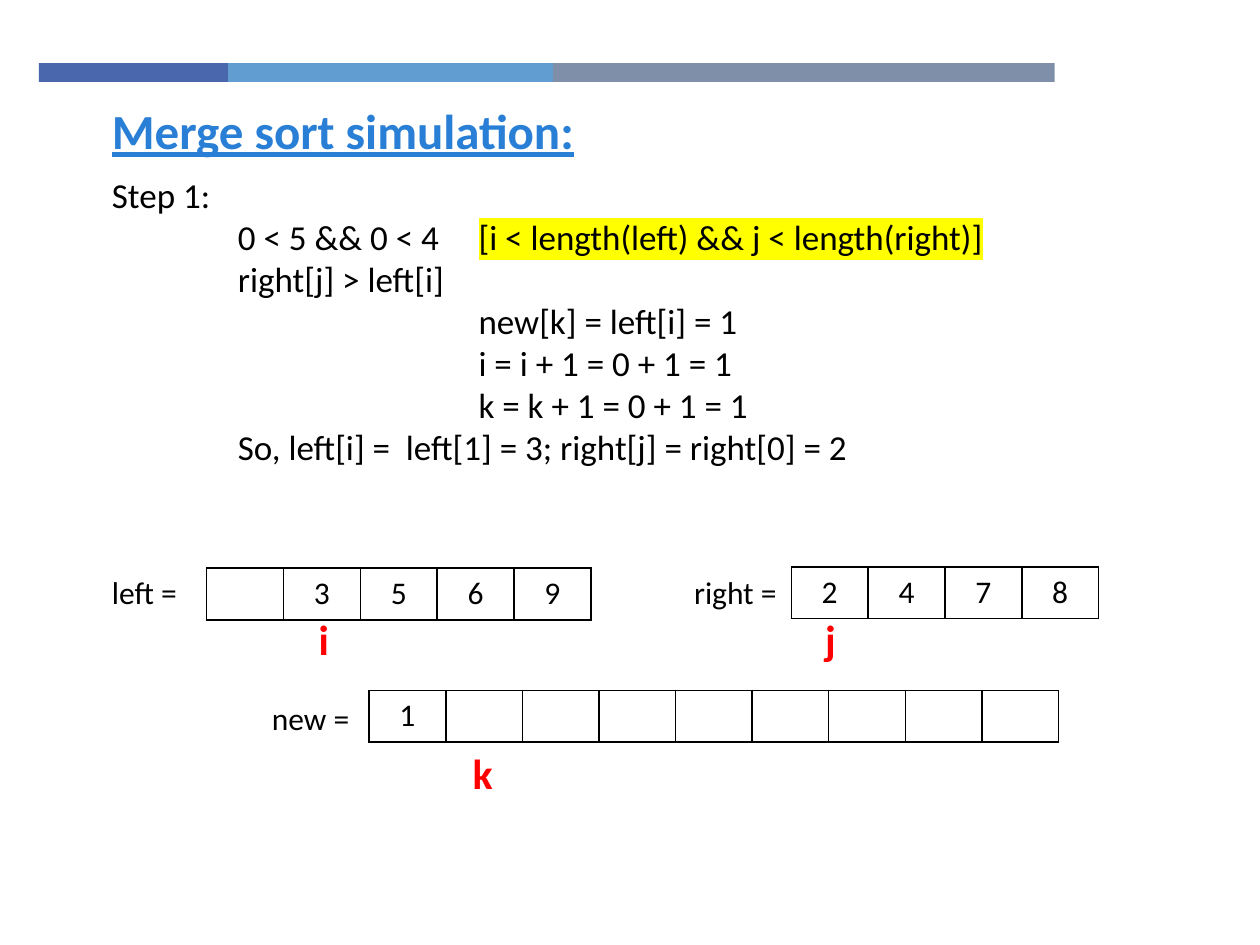
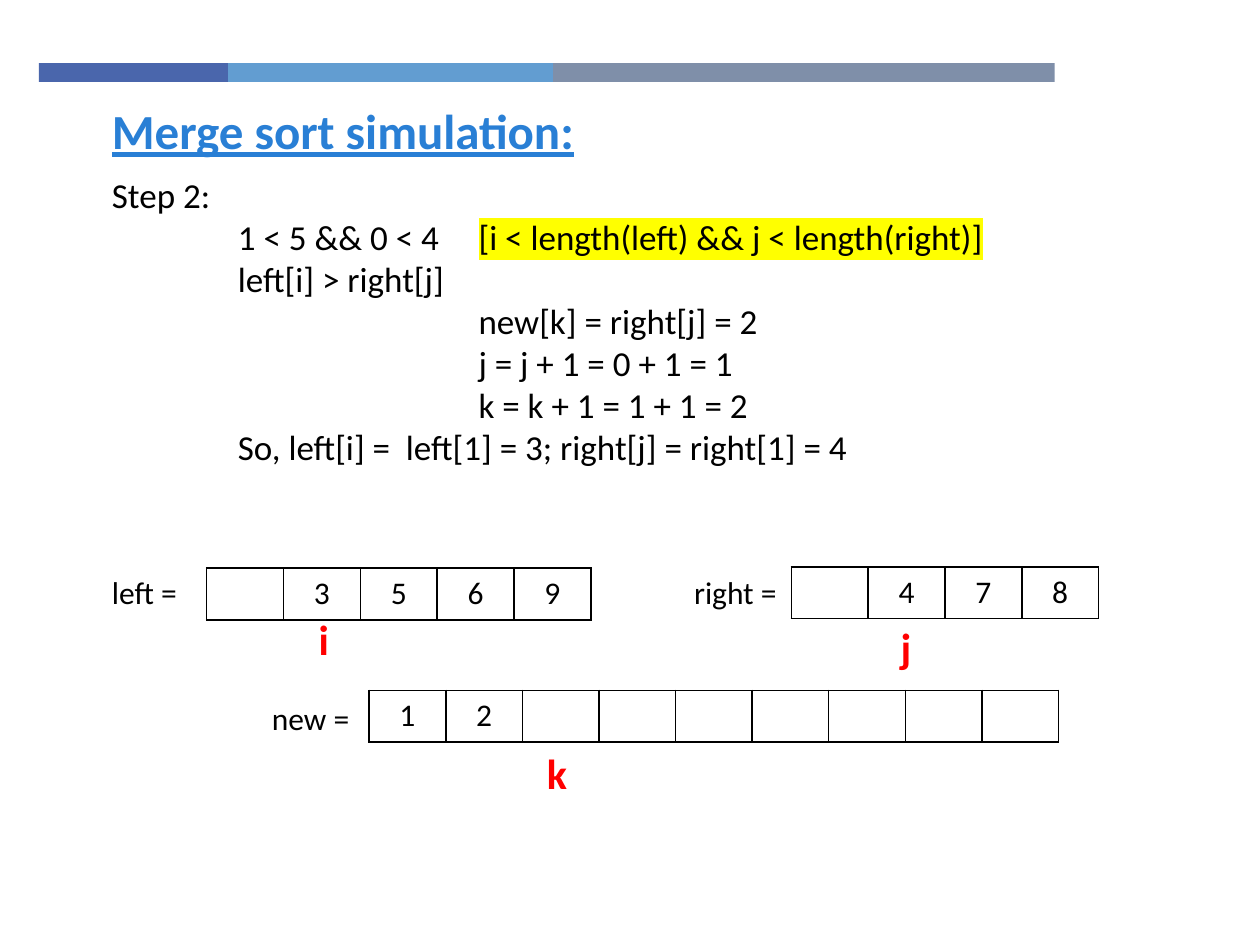
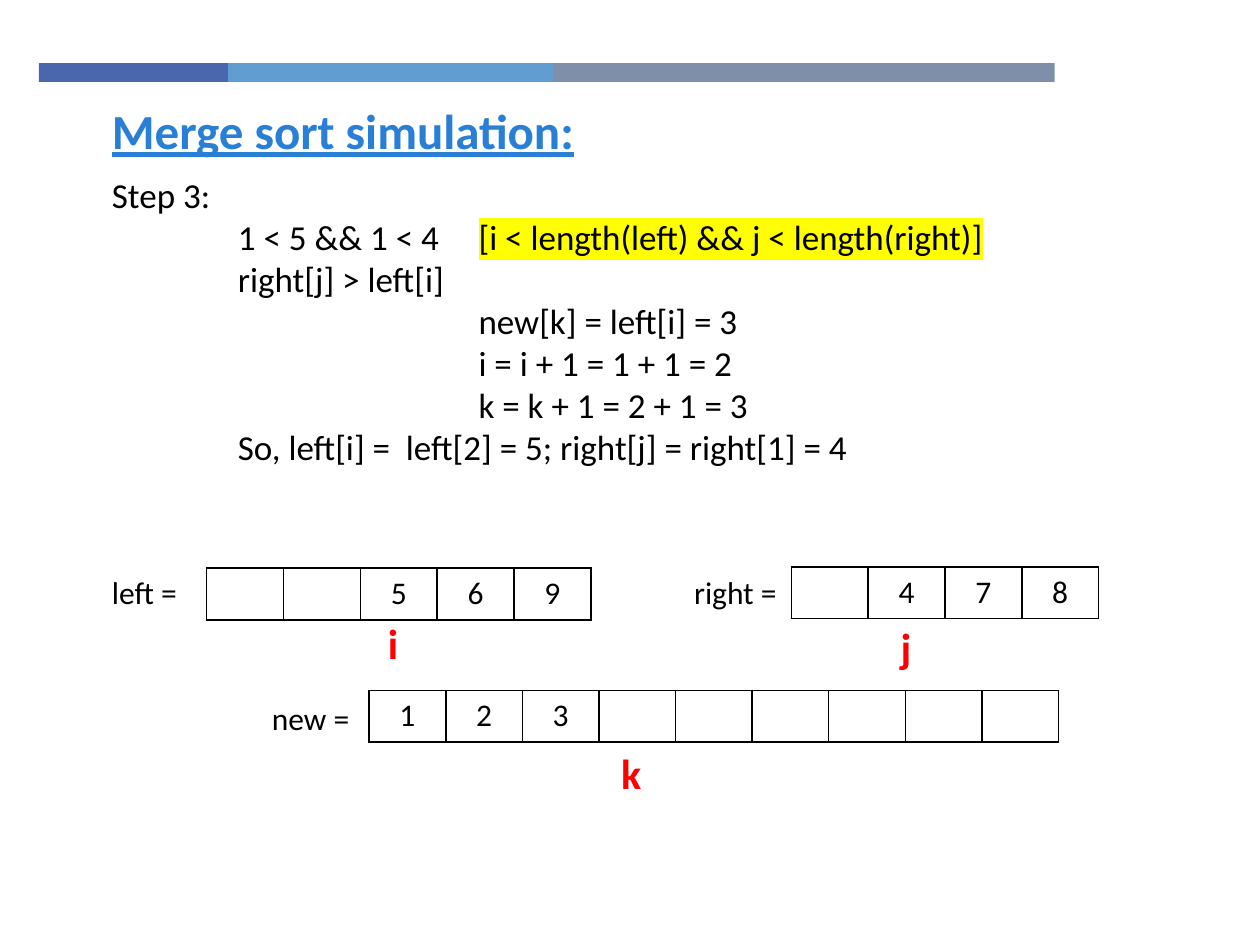
from dataclasses import dataclass

from lxml import etree
from pptx import Presentation
from pptx.dml.color import RGBColor
from pptx.enum.shapes import MSO_SHAPE
from pptx.enum.text import PP_ALIGN
from pptx.oxml.ns import qn
from pptx.util import Inches, Pt

RECT = MSO_SHAPE.RECTANGLE
LEFT, CENTER = PP_ALIGN.LEFT, PP_ALIGN.CENTER


@dataclass(frozen=True)
class Theme:
    font: str = "Calibri"
    title: str = "297FD5"
    ink: str = "000000"
    mark: str = "FF0000"
    glow: str = "FFFF00"
    paper: str = "FFFFFF"
    bands: tuple = (("4A66AC", 15), ("629DD1", 25.8), ("7F8FA9", 39.8))
    title_size: int = 28
    mark_size: int = 24
    body_size: int = 20
    cell_size: int = 18


@dataclass(frozen=True)
class Row:
    """An array on the grid, with the first place and the step of its marker."""
    name: str
    label_x: float
    x: float
    y: float
    cell: float
    mark: str
    mark_x: float
    mark_y: float
    step_x: float
    step_y: float


THEME = Theme()
MARGIN = 7.9
CELL_H = 4.1
ROWS = (
    Row("left", MARGIN, 16.4, 45.1, 6.1, "i", 18.3, 47.9, 5.5, 0.3),
    Row("right", 54.1, 62.8, 45, 6.1, "j", 64, 48.2, 6, 0.6),
    Row("new", 20.6, 29.3, 54.8, 6.08, "k", 30.5, 58.8, 5.9, 0),
)
LEFTS = (1, 3, 5, 6, 9)
RIGHTS = (2, 4, 7, 8)
STEPS = 3


def grid(*units):
    """Turn units of a 100 by 75 grid into lengths."""
    return [Inches(unit / 10) for unit in units]


def add_run(para, text, size, color=THEME.ink, bold=False, line=False, glow=None):
    run = para.add_run()
    run.text = text
    font = run.font
    font.size = Pt(size)
    font.bold = bold
    font.underline = line
    font.color.rgb = RGBColor.from_string(color)
    font.name = THEME.font
    if glow:
        high = etree.Element(qn("a:highlight"))
        etree.SubElement(high, qn("a:srgbClr"), val=glow)
        run._r.rPr.find(qn("a:solidFill")).addnext(high)


def add_box(slide, x, y, w, h):
    frame = slide.shapes.add_textbox(*grid(x, y, w, h)).text_frame
    frame.word_wrap = True
    return frame


def add_line(slide, text, place, size, align=LEFT, **style):
    para = add_box(slide, *place).paragraphs[0]
    para.alignment = align
    add_run(para, text, size, **style)


def add_bands(slide):
    x = 3.1
    for color, width in THEME.bands:
        band = slide.shapes.add_shape(RECT, *grid(x, 5, width, 1.5))
        band.shadow.inherit = False
        band.fill.solid()
        band.fill.fore_color.rgb = RGBColor.from_string(color)
        band.line.fill.background()
        x += width


def set_tabs(para, *stops):
    tabs = etree.SubElement(para._p.get_or_add_pPr(), qn("a:tabLst"))
    for stop in stops:
        etree.SubElement(tabs, qn("a:tab"), pos=str(Inches(stop)), algn="l")


def add_steps(slide, head, test, lines):
    """Write the step's name, its loop test and the lines of its work."""
    frame = add_box(slide, MARGIN, 13.3, 81.6, 27.6)
    size = THEME.body_size
    add_run(frame.paragraphs[0], head, size)
    para = frame.add_paragraph()
    set_tabs(para, 1, 2.91)
    add_run(para, f"\t{test}\t", size)
    add_run(para, "[i < length(left) && j < length(right)]", size, glow=THEME.glow)
    for depth, text in lines:
        add_run(frame.add_paragraph(), "\t" * depth + text, size)


def edge_cell(cell):
    props = cell._tc.get_or_add_tcPr()
    for side in ("a:lnL", "a:lnR", "a:lnT", "a:lnB"):
        edge = etree.SubElement(props, qn(side), w=str(Pt(1)))
        fill = etree.SubElement(edge, qn("a:solidFill"))
        etree.SubElement(fill, qn("a:srgbClr"), val=THEME.ink)


def add_row(slide, row, values):
    place = grid(row.x, row.y, row.cell * len(values), CELL_H)
    table = slide.shapes.add_table(1, len(values), *place).table
    for col, value in zip(table.columns, values):
        col.width = grid(row.cell)[0]
    for cell, value in zip(table.iter_cells(), values):
        edge_cell(cell)
        cell.fill.solid()
        cell.fill.fore_color.rgb = RGBColor.from_string(THEME.paper)
        para = cell.text_frame.paragraphs[0]
        para.alignment = CENTER
        para.font.size = Pt(THEME.cell_size)
        if value is not None:
            add_run(para, str(value), THEME.cell_size)


def add_mark(slide, row, index):
    place = (row.mark_x + index * row.step_x, row.mark_y + index * row.step_y, 3.8, 5)
    add_line(slide, row.mark, place, THEME.mark_size, CENTER,
             color=THEME.mark, bold=True)


def merge_step(i, j, merged):
    """Take the smaller head; return the new state and the lines that tell it."""
    k = len(merged)
    if LEFTS[i] < RIGHTS[j]:
        rule, source, value = "right[j] > left[i]", "left[i]", LEFTS[i]
        move = f"i = i + 1 = {i} + 1 = {i + 1}"
        i += 1
    else:
        rule, source, value = "left[i] > right[j]", "right[j]", RIGHTS[j]
        move = f"j = j + 1 = {j} + 1 = {j + 1}"
        j += 1
    lines = (
        (1, rule),
        (2, f"new[k] = {source} = {value}"),
        (2, move),
        (2, f"k = k + 1 = {k} + 1 = {k + 1}"),
        (1, f"So, left[i] =  left[{i}] = {LEFTS[i]}; right[j] = right[{j}] = {RIGHTS[j]}"),
    )
    return i, j, merged + [value], lines


def pad(values, start, total):
    """Place values from start on in a row of total cells, the rest empty."""
    gap = [None] * start
    return gap + list(values) + [None] * (total - start - len(values))


def add_slide(deck, head, test, lines, i, j, merged):
    slide = deck.slides.add_slide(deck.slide_layouts[6])
    add_bands(slide)
    add_line(slide, "Merge sort simulation:", (MARGIN, 7.5, 82.4, 5.7),
             THEME.title_size, color=THEME.title, bold=True, line=True)
    add_steps(slide, head, test, lines)
    n, m = len(LEFTS), len(RIGHTS)
    cells = (pad(LEFTS[i:], i, n), pad(RIGHTS[j:], j, m), pad(merged, 0, n + m))
    for row, values in zip(ROWS, cells):
        add_row(slide, row, values)
    for row, index in zip(ROWS, (i, j, len(merged))):
        add_mark(slide, row, index)
        add_line(slide, f"{row.name} =", (row.label_x, round(row.y), 8.8, CELL_H),
                 THEME.cell_size)


def main():
    deck = Presentation()
    deck.slide_width, deck.slide_height = grid(100, 75)
    i, j, merged = 0, 0, []
    for step in range(1, STEPS + 1):
        test = f"{i} < {len(LEFTS)} && {j} < {len(RIGHTS)}"
        i, j, merged, lines = merge_step(i, j, merged)
        add_slide(deck, f"Step {step}:", test, lines, i, j, merged)
    deck.save("out.pptx")


if __name__ == "__main__":
    main()
